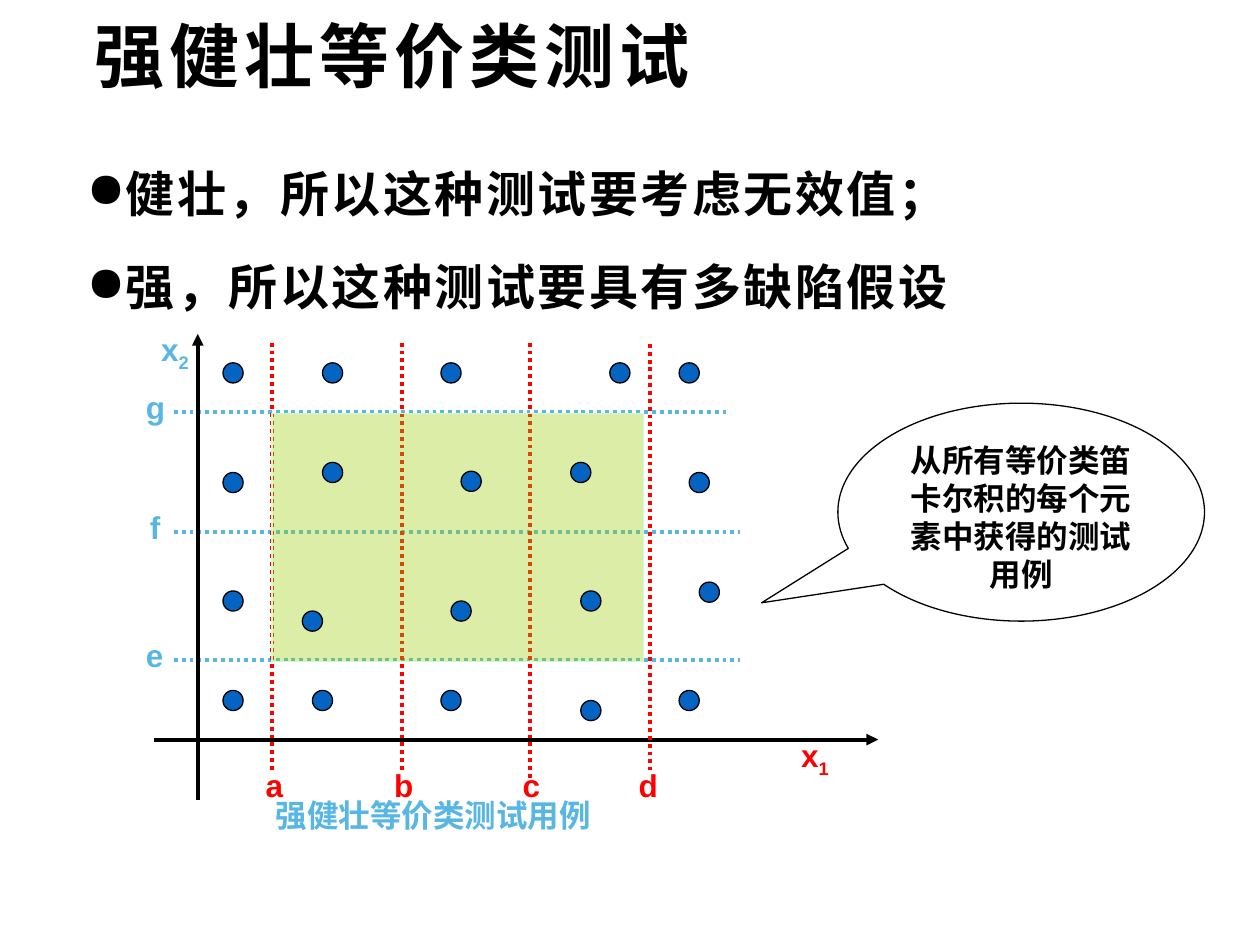
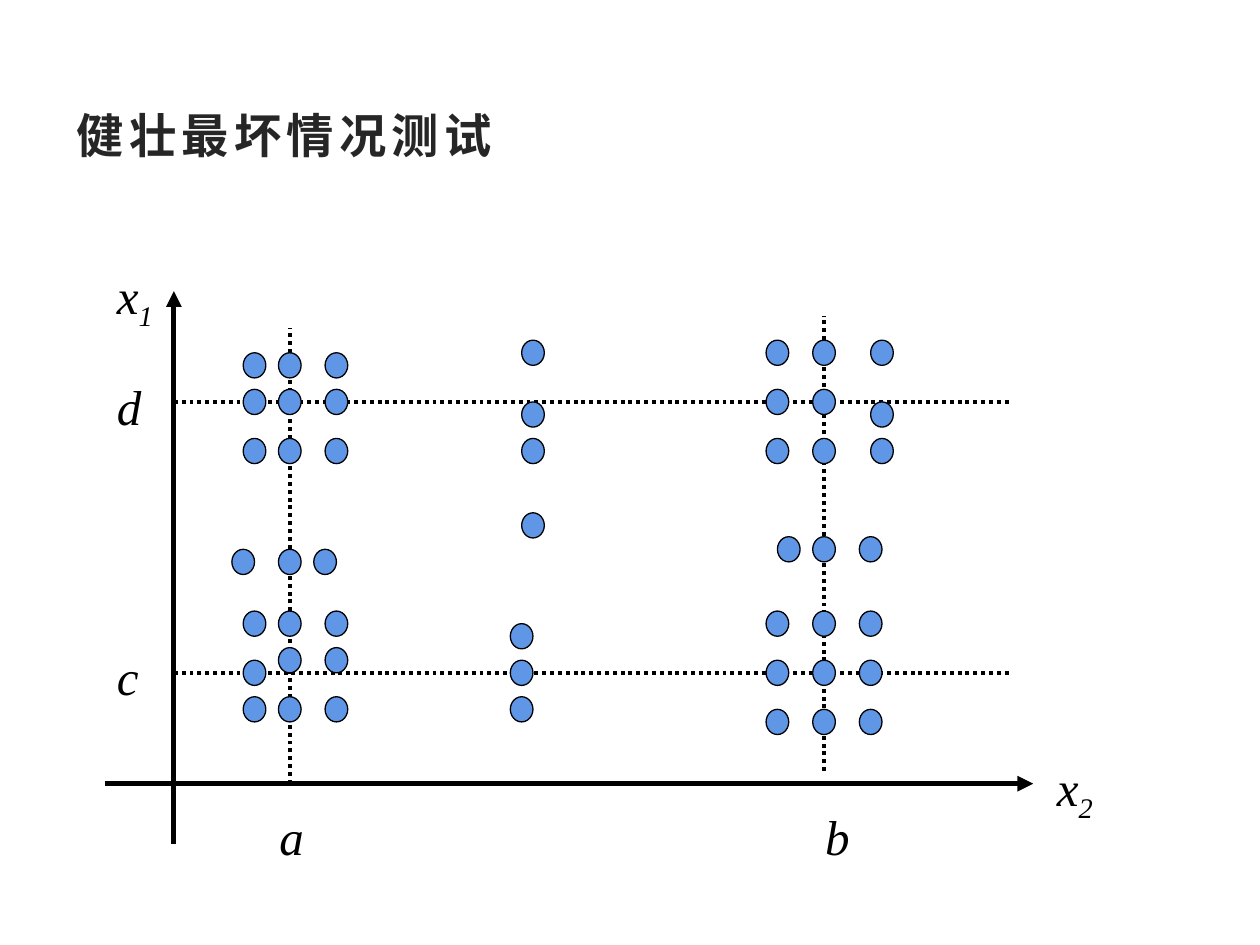
from dataclasses import dataclass

from lxml.etree import SubElement
from pptx import Presentation
from pptx.dml.color import RGBColor
from pptx.enum.dml import MSO_LINE
from pptx.enum.shapes import MSO_CONNECTOR, MSO_SHAPE
from pptx.enum.text import MSO_ANCHOR, PP_ALIGN
from pptx.oxml.ns import qn
from pptx.util import Emu, Pt

EMU_PER_PX = 9144  # 100 px to the inch


@dataclass(frozen=True)
class Style:
    size: int
    color: str
    font: str = "Arial"
    bold: bool = True
    italic: bool = False
    tracking: float = 0


@dataclass(frozen=True)
class Theme:
    cjk: str = "Noto Sans CJK SC"
    ink: str = "000000"
    sky: str = "58B6E5"
    red: str = "FF0000"
    valid_fill: str = "99CC00"
    valid_edge: str = "CCFFCC"
    deep_dot: str = "0563C1"
    light_dot: str = "6096E6"
    hairline: float = 0.75
    guide: float = 2.25
    heavy: float = 3
    title: Style = Style(40, ink, cjk, tracking=3)
    small_title: Style = Style(27, "262626", cjk, tracking=3)
    bullet: Style = Style(28, ink, cjk, tracking=1.5)
    note: Style = Style(18, ink)
    x1_label: Style = Style(18, red)
    x2_label: Style = Style(18, sky)
    math: Style = Style(28, ink, "Times New Roman", bold=False, italic=True)


THEME = Theme()


def px(*lengths):
    return [Emu(length * EMU_PER_PX) for length in lengths]


def rgb(color):
    return RGBColor.from_string(color)


def apply_style(paragraph, style):
    font = paragraph.font
    font.size = Pt(style.size)
    font.bold = style.bold
    font.italic = style.italic
    font.color.rgb = rgb(style.color)
    font.name = style.font
    properties = font._element
    SubElement(properties, qn("a:ea")).set("typeface", THEME.cjk)
    if style.tracking:
        properties.set("spc", str(round(style.tracking * 100)))


def add_text(canvas, box, text, style, subscript="", wrap=True, leading=None):
    frame = canvas.add_textbox(*px(*box)).text_frame
    frame.word_wrap = wrap
    paragraph = frame.paragraphs[0]
    paragraph.add_run().text = text
    if subscript:
        run = paragraph.add_run()
        run.text = subscript
        run.font._element.set("baseline", "-25000")
    if leading:
        paragraph.line_spacing = Pt(leading)
    apply_style(paragraph, style)
    return frame


def add_title(slide, left, top, text, style):
    frame = add_text(slide.shapes, (left, top, 900, 77), text, style)
    frame.vertical_anchor = MSO_ANCHOR.MIDDLE


def add_bullets(slide, box, lines):
    frame = slide.shapes.add_textbox(*px(*box)).text_frame
    frame.word_wrap = True
    for index, line in enumerate(lines):
        paragraph = frame.add_paragraph() if index else frame.paragraphs[0]
        paragraph.text = line
        paragraph.line_spacing = Pt(43.5)
        paragraph.space_after = Pt(10)
        indent = px(19)[0]
        properties = paragraph._p.get_or_add_pPr()
        properties.set("marL", str(indent))
        properties.set("indent", str(-indent))
        SubElement(properties, qn("a:buChar")).set("char", "●")
        apply_style(paragraph, THEME.bullet)


def add_line(canvas, start, end, color, width):
    connector = canvas.add_connector(MSO_CONNECTOR.STRAIGHT, *px(*start, *end))
    connector.line.color.rgb = rgb(color)
    connector.line.width = Pt(width)
    SubElement(connector._element.spPr, qn("a:effectLst"))
    return connector


def add_axis(canvas, start, end, width):
    axis = add_line(canvas, start, end, THEME.ink, width)
    SubElement(axis.line._get_or_add_ln(), qn("a:tailEnd")).set("type", "triangle")


def add_guide(canvas, start, end, color):
    guide = add_line(canvas, start, end, color, THEME.guide)
    guide.line.dash_style = MSO_LINE.ROUND_DOT


def add_outlined(canvas, preset, box, fill=None, edge=THEME.ink):
    shape = canvas.add_shape(preset, *px(*box))
    shape.shadow.inherit = False
    if fill:
        shape.fill.solid()
        shape.fill.fore_color.rgb = rgb(fill)
    else:
        shape.fill.background()
    shape.line.color.rgb = rgb(edge)
    shape.line.width = Pt(THEME.hairline)
    return shape


def add_test_cases(canvas, rows, size, color):
    """Draw one dot per test case; rows maps each top to its left edges."""
    for top, lefts in rows.items():
        for left in lefts:
            add_outlined(canvas, MSO_SHAPE.OVAL, (left, top, *size), color)


def add_valid_region(canvas, box):
    region = add_outlined(canvas, MSO_SHAPE.RECTANGLE, box,
                          THEME.valid_fill, THEME.valid_edge)
    color = region.fill._xPr.find(qn("a:solidFill"))[0]
    SubElement(color, qn("a:alpha")).set("val", "35000")


def add_callout(canvas, box, pointer, text):
    callout = add_outlined(canvas, MSO_SHAPE.OVAL_CALLOUT, box)
    for index, offset in enumerate(pointer):
        callout.adjustments[index] = offset
    frame = callout.text_frame
    frame.word_wrap = True
    frame.vertical_anchor = MSO_ANCHOR.TOP
    paragraph = frame.paragraphs[0]
    paragraph.text = text
    paragraph.alignment = PP_ALIGN.CENTER
    paragraph.line_spacing = Pt(21.7)
    apply_style(paragraph, THEME.note)


def build_strong_robust(slide):
    canvas = slide.shapes
    add_title(slide, 65, 5, "强健壮等价类测试", THEME.title)
    add_bullets(slide, (59, 111, 900, 516), [
        "健壮，所以这种测试要考虑无效值；",
        "强，所以这种测试要具有多缺陷假设",
    ])

    add_axis(canvas, (122, 587), (697, 587), THEME.guide)
    for y, right in ((327, 579), (422, 587), (524, 587)):
        add_guide(canvas, (138, y), (right, y), THEME.sky)
    for x, bottom in ((216, 611), (319, 611), (421, 619)):
        add_guide(canvas, (x, 272), (x, bottom), THEME.red)
    add_valid_region(canvas, (216, 328, 295, 197))
    add_guide(canvas, (516, 273), (516, 611), THEME.red)
    add_axis(canvas, (157, 635), (157, 265), THEME.guide)

    add_text(canvas, (626, 579, 45, 40), "x", THEME.x1_label, "1")
    add_text(canvas, (118, 257, 43, 40), "x", THEME.x2_label, "2", wrap=False)
    for name, left, top, width in (("g", 106, 303, 35), ("f", 109, 398, 28),
                                   ("e", 106, 500, 34)):
        add_text(canvas, (left, top, width, 40), name, THEME.x2_label, wrap=False)
    for name, left in zip("abcd", (201, 303, 405, 497)):
        add_text(canvas, (left, 603, 34, 40), name, THEME.x1_label)
    add_text(canvas, (209, 627, 311, 40), "强健壮等价类测试用例",
             THEME.x2_label, leading=21.6)

    add_test_cases(canvas, {
        288: (177, 256, 350, 484, 539),
        367: (256, 453),
        374: (366,),
        375: (177, 547),
        462: (555,),
        469: (177, 461),
        477: (358,),
        485: (240,),
        548: (177, 248, 350, 539),
        556: (461,),
    }, (16, 16), THEME.deep_dot)
    add_callout(canvas, (665, 320, 291, 173), (-0.708, 0.416),
                "从所有等价类笛卡尔积的每个元素中获得的测试用例")


def build_robust_worst_case(slide):
    add_title(slide, 51, 68, "健壮最坏情况测试", THEME.small_title)
    plot = slide.shapes.add_group_shape().shapes

    add_axis(plot, (83, 622), (820, 622), THEME.heavy)
    add_axis(plot, (138, 670), (138, 231), THEME.heavy)
    for y in (534, 319):
        add_guide(plot, (138, y), (802, y), THEME.ink)
    for x, bottom, top in ((230, 622, 260), (654, 612, 251)):
        add_guide(plot, (x, bottom), (x, top), THEME.ink)

    for name, left, top in (("a", 212, 635), ("b", 645, 635),
                            ("c", 83, 508), ("d", 83, 294)):
        add_text(plot, (left, top, 37, 57), name, THEME.math)
    add_text(plot, (83, 206, 74, 57), "x", THEME.math, "1")
    add_text(plot, (829, 596, 65, 57), "x", THEME.math, "2")

    near_a = (193, 221, 258)
    near_b = (608, 645, 682)
    wide_b = (608, 645, 691)
    add_test_cases(plot, {
        270: (414, *wide_b),
        280: near_a,
        309: (*near_a, 608, 645),
        319: (414, 691),
        348: (*near_a, 414, *wide_b),
        407: (414,),
        426: (617, 645, 682),
        436: (184, 221, 249),
        485: (*near_a, *near_b),
        495: (405,),
        514: (221, 258),
        524: (193, 405, *near_b),
        553: (*near_a, 405),
        563: near_b,
    }, (18, 20), THEME.light_dot)


def main():
    deck = Presentation()
    deck.slide_width, deck.slide_height = px(1000, 750)
    blank = deck.slide_layouts[6]
    for build in (build_strong_robust, build_robust_worst_case):
        build(deck.slides.add_slide(blank))
    deck.save("out.pptx")


if __name__ == "__main__":
    main()
